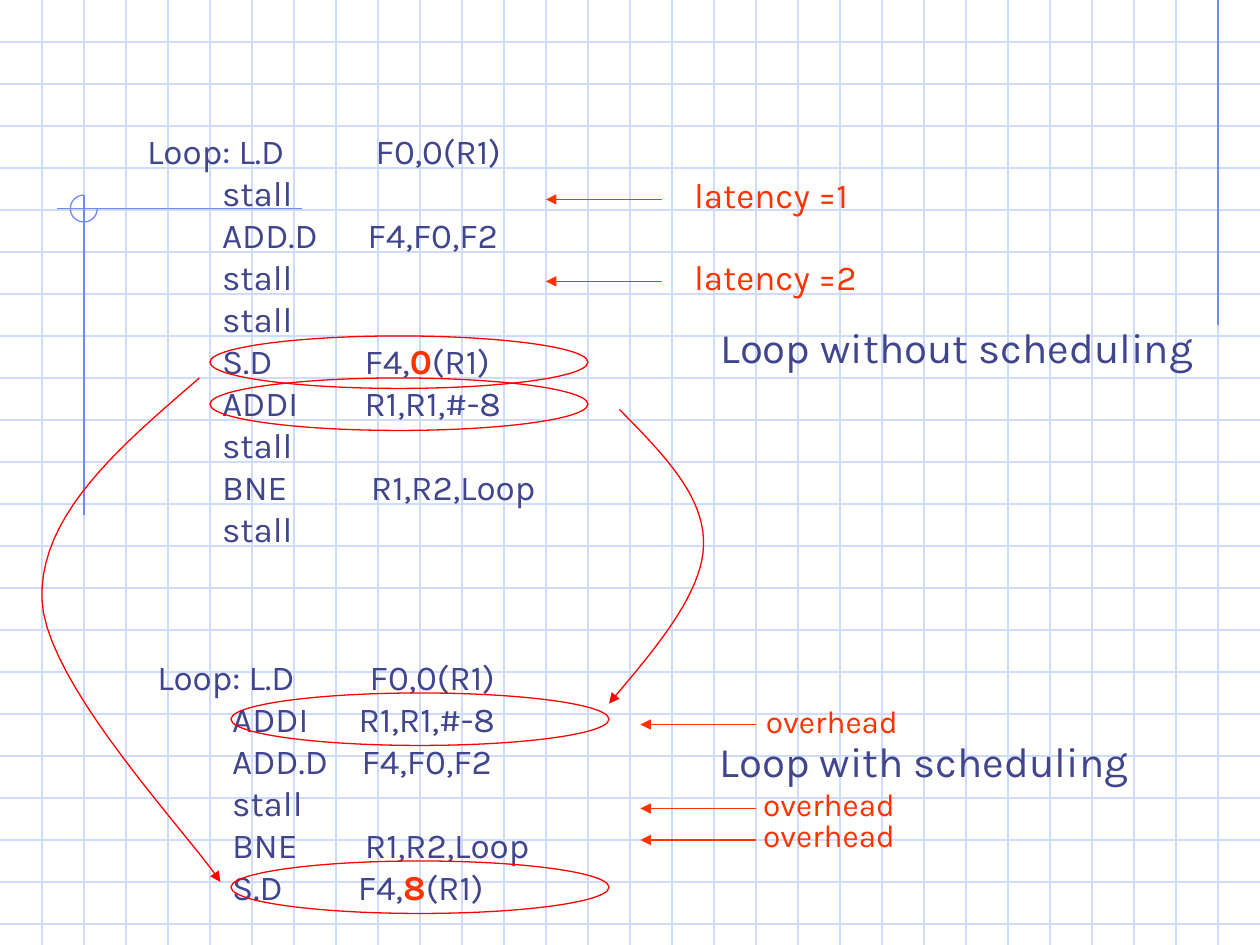
import pptx
import pptx.util
import pptx.dml.color
import pptx.enum.shapes
import pptx.oxml
import pptx.oxml.ns
from dataclasses import dataclass
from typing import Any

Pt = pptx.util.Pt
INK, ALERT, RED = "40458C", "FF3300", "FF0000"
GRID, FRAME = "CFDBFD", "6F89F7"
FONT, THIN = "Karla", 0.74
WIDE, HIGH, STEP = 720, 540, 24


@dataclass
class Row:
    code: str
    args: str = ""
    stop: float = 0
    mark: str = ""
    rest: str = ""


@dataclass
class Block:
    x: float
    y: float
    w: float
    h: float
    rows: list[Row]


@dataclass
class Label:
    text: str
    x: float
    y: float
    w: float
    h: float
    size: int
    hue: str


@dataclass
class Curve:
    start: tuple[float, float]
    bends: list[tuple[tuple[float, float], ...]]


BLOCKS = [
    Block(77, 70.6, 258.5, 247.7, [
        Row("Loop: L.D", "F0,0(R1)", 130.6),
        Row("\tstall"),
        Row("\tADD.D", "F4,F0,F2", 126),
        Row("\tstall"),
        Row("\tstall"),
        Row("\tS.D", "F4,", 124.2, "0", "(R1)"),
        Row("\tADDI", "R1,R1,#-8", 124.2),
        Row("\tstall"),
        Row("\tBNE", "R1,R2,Loop", 127.8),
        Row("\tstall"),
    ]),
    Block(82.8, 370.8, 247.7, 151.2, [
        Row("Loop: L.D", "F0,0(R1)", 121.4),
        Row("\tADDI", "R1,R1,#-8", 115),
        Row("\tADD.D", "F4,F0,F2", 116.8),
        Row("\tstall"),
        Row("\tBNE", "R1,R2,Loop", 118.6),
        Row("\tS.D", "F4,", 114.6, "8", "(R1)"),
    ]),
]
LABELS = [
    Label("Loop without scheduling", 404.6, 180, 299, 36, 24, INK),
    Label("Loop with scheduling", 404.3, 416.9, 255, 36, 24, INK),
    Label("latency =1", 389.5, 95.8, 109.4, 31.7, 20, ALERT),
    Label("latency =2", 389.5, 142.6, 109.4, 31.7, 20, ALERT),
    Label("overhead", 430.6, 397.4, 94.3, 28.8, 18, ALERT),
    Label("overhead", 429, 445, 94.3, 28.8, 18, ALERT),
    Label("overhead", 429, 463, 94.3, 28.8, 18, ALERT),
]
RINGS = [(120, 192), (120, 216), (132, 396), (132, 492)]
ARROWS = [(378, 114), (378, 160.8), (432, 414), (432, 462), (432, 480)]
CURVES = [
    Curve((114, 216), [((68, 255.6), (22.3, 294.5), (24, 342.7)),
                       ((25.9, 391), (108.7, 477.4), (126, 504))]),
    Curve((354, 234), [((378.7, 259.2), (403.2, 283.7), (402, 312)),
                       ((401, 339.8), (374.4, 370.8), (348, 402))]),
]


def color(text: str) -> pptx.dml.color.RGBColor:
    return pptx.dml.color.RGBColor.from_string(text)


def stroke(shape: Any, hue: str, arrow: bool = False) -> None:
    shape.line.color.rgb = color(hue)
    shape.line.width = Pt(THIN)
    if arrow:
        tail = pptx.oxml.parse_xml(
            f'<a:tailEnd {pptx.oxml.ns.nsdecls("a")} type="triangle"/>')
        shape._element.spPr.find(pptx.oxml.ns.qn("a:ln")).append(tail)


def draw_line(shapes: Any, x: float, y: float, x2: float, y2: float,
              hue: str, arrow: bool = False) -> None:
    line = shapes.add_connector(
        pptx.enum.shapes.MSO_CONNECTOR.STRAIGHT, Pt(x), Pt(y), Pt(x2), Pt(y2))
    stroke(line, hue, arrow)
    line._element.spPr.append(pptx.oxml.parse_xml(
        f'<a:effectLst {pptx.oxml.ns.nsdecls("a")}/>'))


def draw_shape(shapes: Any, kind: Any, x: float, y: float,
               w: float, h: float, hue: str) -> Any:
    shape = shapes.add_shape(kind, Pt(x), Pt(y), Pt(w), Pt(h))
    shape.shadow.inherit = False
    shape.fill.background()
    stroke(shape, hue)
    return shape


def draw_curve(shapes: Any, curve: Curve) -> None:
    points, a = [], curve.start
    for b, c, d in curve.bends:
        for t in (n / 20 for n in range(1, 21)):
            u = 1 - t
            points.append(tuple(
                Pt(u**3 * a[i] + 3 * u * u * t * b[i]
                   + 3 * u * t * t * c[i] + t**3 * d[i]) for i in (0, 1)))
        a = d
    pen = shapes.build_freeform(Pt(curve.start[0]), Pt(curve.start[1]))
    pen.add_line_segments(points, close=False)
    shape = pen.convert_to_shape()
    shape.shadow.inherit = False
    shape.fill.background()
    stroke(shape, RED, True)


def style(run: Any, size: int, hue: str, bold: bool = False) -> None:
    run.font.name, run.font.size, run.font.bold = FONT, Pt(size), bold
    run.font.color.rgb = color(hue)


def add_box(shapes: Any, x: float, y: float, w: float, h: float) -> Any:
    frame = shapes.add_textbox(Pt(x), Pt(y), Pt(w), Pt(h)).text_frame
    frame.word_wrap = True
    return frame


def draw_label(shapes: Any, tag: Label) -> None:
    frame = add_box(shapes, tag.x, tag.y, tag.w, tag.h)
    frame.text = tag.text
    style(frame.paragraphs[0].runs[0], tag.size, tag.hue)


def draw_block(shapes: Any, block: Block) -> None:
    frame = add_box(shapes, block.x, block.y, block.w, block.h)
    frame.text = "\n".join(
        f"{row.code}\t{row.args}" if row.args else row.code for row in block.rows)
    for row, para in zip(block.rows, frame.paragraphs):
        if row.mark:
            para.add_run().text = row.mark
            para.add_run().text = row.rest
        for i, run in enumerate(para.runs):
            style(run, 20, ALERT if i == 1 else INK, i == 1)
        stops = [42.8] if row.code.startswith("\t") else []
        stops += [row.stop] if row.args else []
        tabs = "".join(f'<a:tab pos="{int(Pt(s))}" algn="l"/>' for s in stops)
        para._p.get_or_add_pPr().append(pptx.oxml.parse_xml(
            f'<a:tabLst {pptx.oxml.ns.nsdecls("a")}>{tabs}</a:tabLst>'))


def main() -> None:
    deck = pptx.Presentation()
    deck.slide_width, deck.slide_height = Pt(WIDE), Pt(HIGH)
    slide = deck.slides.add_slide(deck.slide_layouts[6])
    shapes = slide.shapes
    kinds = pptx.enum.shapes.MSO_SHAPE
    back = shapes.add_group_shape().shapes
    for y in range(STEP, HIGH, STEP):
        draw_line(back, 0, y, WIDE, y, GRID)
    for x in range(STEP, WIDE, STEP):
        draw_line(back, x, 0, x, HIGH, GRID)
    draw_line(back, 696, 0, 696, 186, FRAME)
    draw_line(back, 172.8, 119.2, 32.4, 119.2, FRAME)
    draw_line(back, 48, 111.6, 48, 294.5, FRAME)
    arc = draw_shape(back, kinds.ARC, 40.2, 111.5, 15.4, 15.4, FRAME)
    arc.adjustments[0], arc.adjustments[1] = 0, 162
    for block in BLOCKS:
        draw_block(shapes, block)
    for x, y in RINGS:
        draw_shape(shapes, kinds.OVAL, x, y, 216, 30, RED)
    for curve in CURVES:
        draw_curve(shapes, curve)
    for x, y in ARROWS:
        draw_line(shapes, x, y, x - 66, y, ALERT, True)
    for tag in LABELS:
        draw_label(shapes, tag)
    deck.save("out.pptx")


main()
